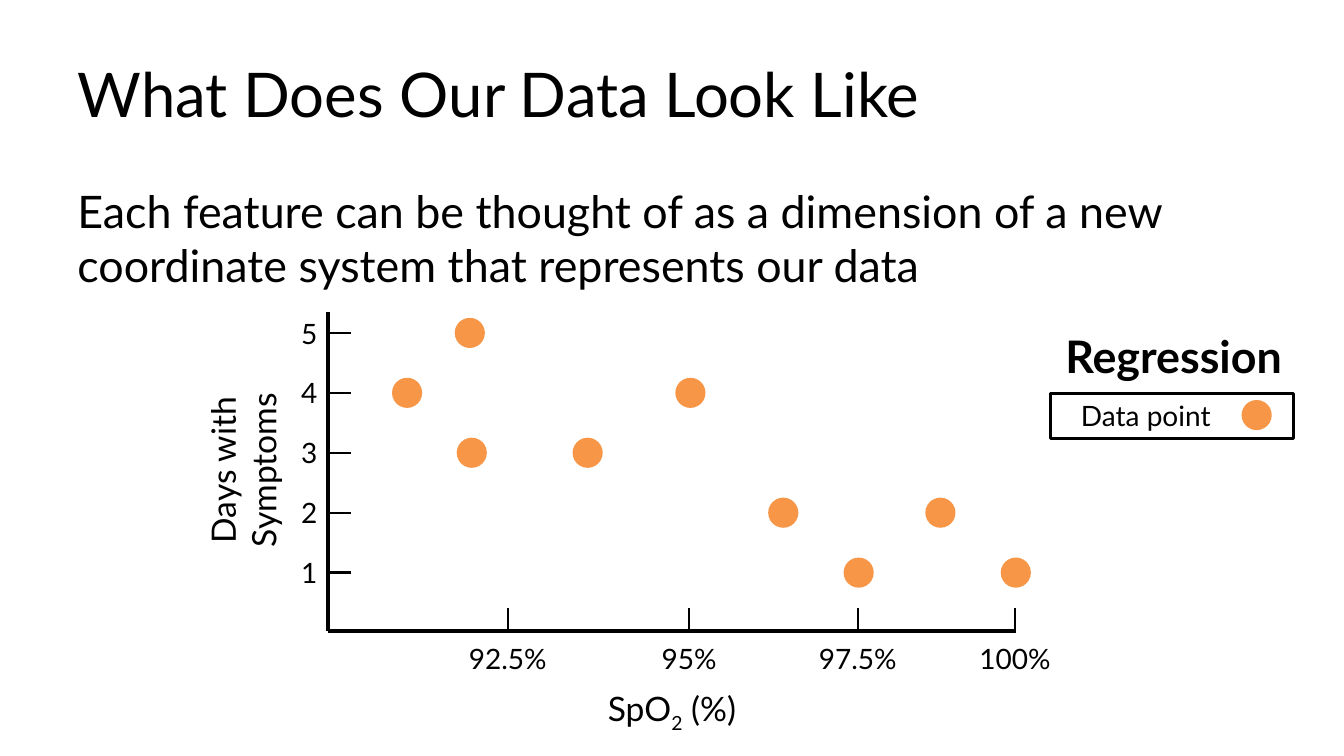
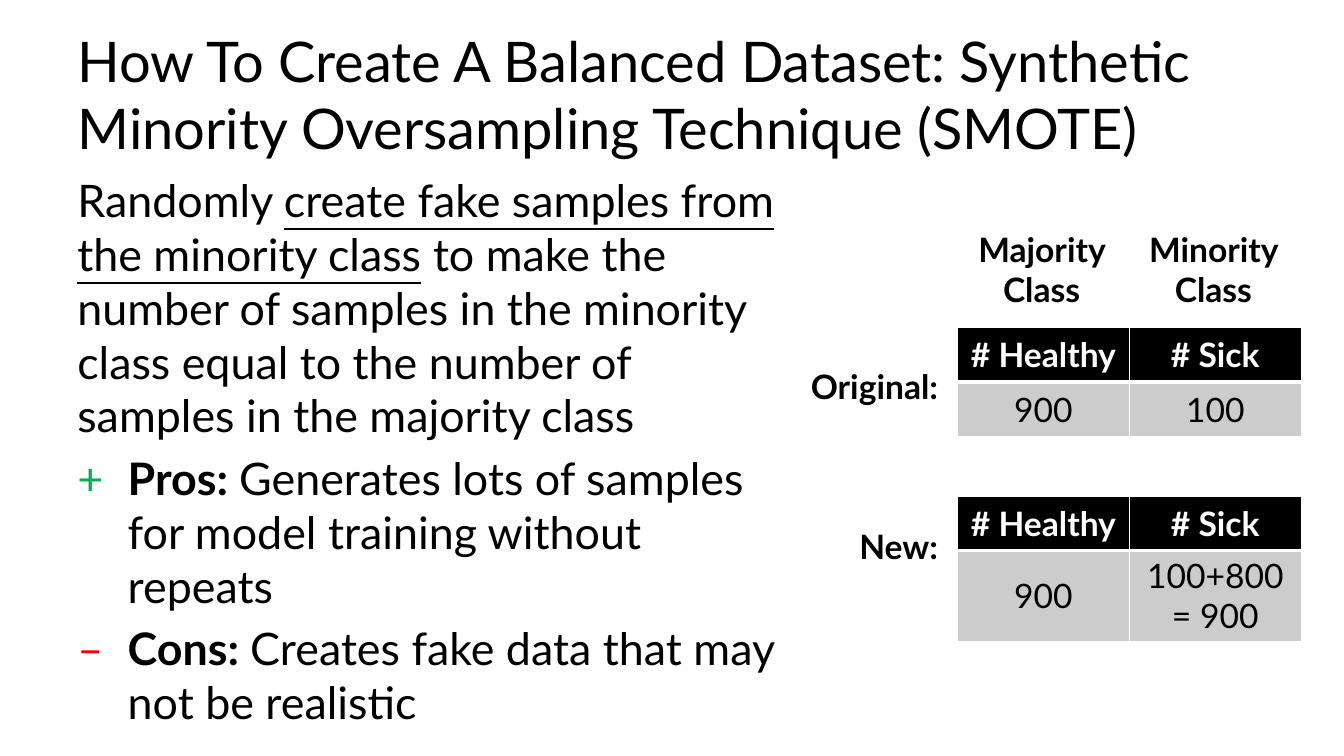
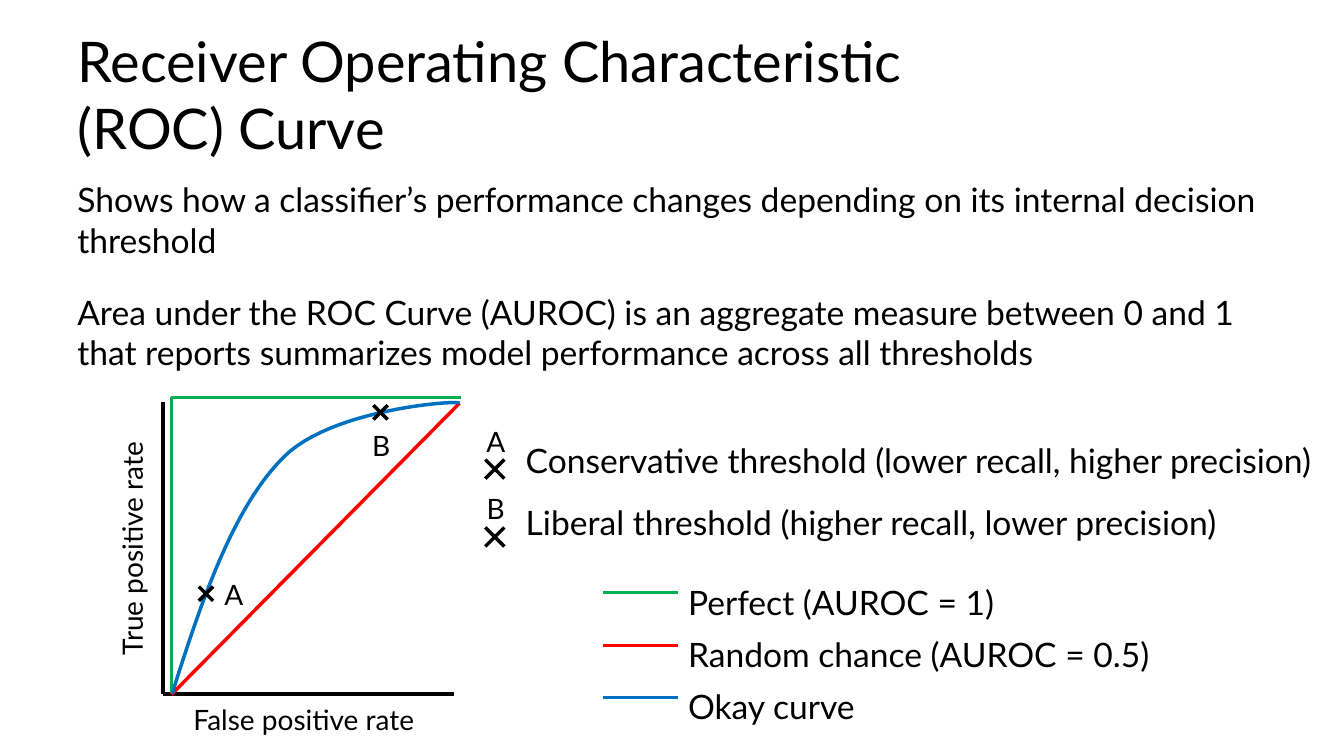
from copy import deepcopy
from dataclasses import dataclass

from lxml import etree
from pptx import Presentation
from pptx.dml.color import RGBColor
from pptx.enum.shapes import MSO_CONNECTOR, MSO_SHAPE
from pptx.enum.text import MSO_ANCHOR, MSO_AUTO_SIZE, PP_ALIGN
from pptx.oxml.ns import qn
from pptx.util import Cm, Pt

LEFT, CENTER, RIGHT = PP_ALIGN.LEFT, PP_ALIGN.CENTER, PP_ALIGN.RIGHT
TOP, MIDDLE = MSO_ANCHOR.TOP, MSO_ANCHOR.MIDDLE
STRAIGHT = MSO_CONNECTOR.STRAIGHT
OVAL, RECTANGLE = MSO_SHAPE.OVAL, MSO_SHAPE.RECTANGLE
TITLE_ONLY = 5


@dataclass(frozen=True)
class Theme:
    font: str = "Lato"
    black: str = "000000"
    white: str = "FFFFFF"
    grey: str = "CCCCCC"
    orange: str = "F79646"
    green: str = "00B050"
    red: str = "FF0000"
    blue: str = "0070C0"
    title: float = 44
    long_title: float = 40
    body: float = 32
    text: float = 24
    small: float = 20
    axis: float = 3
    curve: float = 2.5
    key: float = 2
    tick: float = 1.75


THEME = Theme()


def rgb(value):
    return RGBColor.from_string(value)


class Deck:
    """Holds the style and the current slide."""

    def __init__(self, theme):
        self.theme = theme
        self.show = Presentation()
        self.show.slide_width, self.show.slide_height = Cm(33.87), Cm(19.05)
        self.page = None

    def add_page(self, title, size):
        layout = self.show.slide_layouts[TITLE_ONLY]
        self.page = self.show.slides.add_slide(layout)
        box = self.page.shapes.title
        box.left, box.top, box.width, box.height = Cm(1.7), Cm(0.76), Cm(30.48), Cm(3.18)
        frame = box.text_frame
        frame.text = title
        frame.auto_size = MSO_AUTO_SIZE.NONE
        frame.vertical_anchor = MIDDLE
        para = frame.paragraphs[0]
        self.style_para(para, size)
        for line_break in para._p.findall(qn("a:br")):
            line_break.insert(0, deepcopy(para.runs[0]._r.rPr))

    def style_para(self, para, size, align=LEFT, bold=None, color=None):
        para.alignment = align
        for span in para.runs:
            span.font.name = self.theme.font
            span.font.size = Pt(size)
            span.font.color.rgb = rgb(color or self.theme.black)
            if bold is not None:
                span.font.bold = bold

    def text(self, left, top, width, height, text, size=THEME.text, align=LEFT,
             bold=None, anchor=TOP, rotation=0, inset=True):
        box = self.page.shapes.add_textbox(Cm(left), Cm(top), Cm(width), Cm(height))
        box.rotation = rotation
        frame = box.text_frame
        frame.word_wrap = True
        frame.vertical_anchor = anchor
        if not inset:
            frame.margin_left = frame.margin_right = 0
            frame.margin_top = frame.margin_bottom = 0
        frame.text = text
        for para in frame.paragraphs:
            self.style_para(para, size, align, bold)
        return frame

    def body(self, width, height, text, size):
        frame = self.text(1.7, 4.44, width, height, text, size, anchor=MIDDLE)
        for para in frame.paragraphs:
            para.space_before = Pt(0.2 * size)
        return frame

    def split(self, para, *parts):
        """Divide the only run of a paragraph into consecutive parts."""
        first = para.runs[0]
        first.text = parts[0]
        for part in parts[1:]:
            span = para.add_run()
            span.text = part
            span._r.insert(0, deepcopy(first._r.rPr))
        return para.runs

    def bullet(self, para, symbol, color):
        props = para._p.get_or_add_pPr()
        props.set("marL", str(Cm(1.27)))
        props.set("indent", str(-Cm(1.27)))
        tint = etree.SubElement(props, qn("a:buClr"))
        etree.SubElement(tint, qn("a:srgbClr")).set("val", color)
        etree.SubElement(props, qn("a:buFont")).set("typeface", self.theme.font)
        etree.SubElement(props, qn("a:buChar")).set("char", symbol)

    def line(self, x1, y1, x2, y2, width, color=THEME.black):
        line = self.page.shapes.add_connector(STRAIGHT, Cm(x1), Cm(y1), Cm(x2), Cm(y2))
        line.line.color.rgb = rgb(color)
        line.line.width = Pt(width)
        etree.SubElement(line._element.spPr, qn("a:effectLst"))

    def dot(self, x, y, size=0.76):
        dot = self.page.shapes.add_shape(
            OVAL, Cm(x - size / 2), Cm(y - size / 2), Cm(size), Cm(size))
        dot.shadow.inherit = False
        dot.fill.solid()
        dot.fill.fore_color.rgb = rgb(self.theme.orange)
        dot.line.fill.background()

    def frame(self, left, top, width, height):
        frame = self.page.shapes.add_shape(
            RECTANGLE, Cm(left), Cm(top), Cm(width), Cm(height))
        frame.shadow.inherit = False
        frame.fill.background()
        frame.line.color.rgb = rgb(self.theme.black)
        frame.line.width = Pt(self.theme.key)

    def cross(self, x, y, size):
        half = size / 2
        for rise in (half, -half):
            self.line(x - half, y + rise, x + half, y - rise, self.theme.curve)

    def curve(self, points, color):
        (start, *rest) = [(Cm(x), Cm(y)) for x, y in points]
        builder = self.page.shapes.build_freeform(*start)
        builder.add_line_segments(rest, close=False)
        curve = builder.convert_to_shape()
        curve.shadow.inherit = False
        curve.fill.background()
        curve.line.color.rgb = rgb(color)
        curve.line.width = Pt(self.theme.curve)

    def border(self, cell, **widths):
        props = cell._tc.get_or_add_tcPr()
        for side in "LRTB":
            edge = etree.SubElement(props, qn("a:ln" + side))
            edge.set("w", str(Pt(widths.get(side, 1))))
            fill = etree.SubElement(edge, qn("a:solidFill"))
            etree.SubElement(fill, qn("a:srgbClr")).set("val", self.theme.white)

    def table(self, left, top, column_width, row_heights, rows):
        columns = len(rows[0])
        table = self.page.shapes.add_table(
            len(rows), columns, Cm(left), Cm(top),
            Cm(column_width * columns), Cm(sum(row_heights))).table
        for column in table.columns:
            column.width = Cm(column_width)
        for r, (values, height) in enumerate(zip(rows, row_heights)):
            header = r == 0
            table.rows[r].height = Cm(height)
            for c, value in enumerate(values):
                cell = table.cell(r, c)
                cell.text = value
                cell.vertical_anchor = MIDDLE
                self.border(cell, **({"B": 3} if header else {"T": 3}))
                cell.fill.solid()
                cell.fill.fore_color.rgb = rgb(self.theme.black if header else self.theme.grey)
                self.style_para(cell.text_frame.paragraphs[0], self.theme.text, CENTER,
                                header, self.theme.white if header else self.theme.black)


def bezier(p0, p1, p2, p3, steps=24):
    """Points of a cubic curve, without its first one."""
    for step in range(1, steps + 1):
        t = step / steps
        u = 1 - t
        yield tuple(u**3 * a + 3 * u * u * t * b + 3 * u * t * t * c + t**3 * d
                    for a, b, c, d in zip(p0, p1, p2, p3))


def data_page(deck):
    theme = deck.theme
    deck.add_page("What Does Our Data Look Like", theme.title)
    deck.body(30.48, 3.1, "Each feature can be thought of as a dimension of a new "
              "coordinate system that represents our data", theme.body)

    # Axes
    axis_x, axis_y, tick = 8.26, 15.9, 0.58
    deck.line(axis_x, axis_y, 25.6, axis_y, theme.axis)
    deck.line(axis_x, 7.85, axis_x, axis_y, theme.axis)
    label = deck.text(axis_x, 17.22, 17.35, 1.27, "SpO2 (%)", align=CENTER)
    spans = deck.split(label.paragraphs[0], "SpO", "2", " (%)")
    spans[1]._r.rPr.set("baseline", "-25000")
    deck.text(2.13, 10.69, 8, 2.31, "Days with Symptoms", align=CENTER, rotation=270)

    # Ticks
    for x, name in ((12.8, "92.5%"), (17.37, "95%"), (21.62, "97.5%"), (25.58, "100%")):
        deck.line(x, axis_y - tick, x, axis_y, theme.tick)
        deck.text(x - 1.89, 16.03, 3.78, 1.12, name, theme.small, CENTER)
    day_y = {day: 14.43 - 1.51 * (day - 1) for day in range(1, 6)}
    for day, y in day_y.items():
        deck.line(axis_x, y, axis_x + tick, y, theme.tick)
        deck.text(6.57, y - 0.55, 1.68, 1.12, str(day), theme.small, RIGHT)

    # Data points
    points = ((10.26, 4), (11.84, 5), (11.89, 3), (14.81, 3), (17.4, 4),
              (19.74, 2), (21.64, 1), (23.7, 2), (25.6, 1))
    for x, day in points:
        deck.dot(x, day_y[day])

    # Legend
    deck.text(26.8, 8.28, 5.56, 1.37, "Regression", theme.body, CENTER, True, inset=False)
    deck.frame(26.47, 9.91, 6.12, 1.14)
    deck.text(26.47, 9.91, 4.29, 1.12, "Data point", theme.small, RIGHT)
    deck.dot(31.67, 10.46)


def smote_page(deck):
    theme = deck.theme
    deck.add_page("How To Create A Balanced Dataset: Synthetic Minority "
                  "Oversampling Technique (SMOTE)", theme.long_title)

    # Explanation with pros and cons
    parts = (
        ("Randomly ", "create fake samples from the minority class",
         " to make the number of samples in the minority class equal to the "
         "number of samples in the majority class"),
        ("Pros: ", "Generates lots of samples for model training without repeats"),
        ("Cons: ", "Creates fake data that may not be realistic"),
    )
    body = deck.body(18.34, 13.84, "\n".join("".join(part) for part in parts), theme.body)
    intro, *points = [deck.split(para, *part) for para, part in zip(body.paragraphs, parts)]
    intro[1].font.underline = True
    for spans in points:
        spans[0].font.bold = True
    deck.bullet(body.paragraphs[1], "+", theme.green)
    deck.bullet(body.paragraphs[2], "–", theme.red)

    # Tables with their labels
    table_left, column = 24.13, 4.33
    for c, name in enumerate(("Majority Class", "Minority Class")):
        deck.text(table_left + 0.2 + c * column, 5.64, 3.84, 2.31, name,
                  align=CENTER, bold=True)
    for name, label_top, top, height, sick in (
            ("Original:", 9.09, 8.26, 1.37, "100"),
            ("New:", 13.13, 12.5, 2.29, "100+800 = 900")):
        deck.text(19.8, label_top, 4.09, 1.27, name, align=RIGHT, bold=True, anchor=MIDDLE)
        deck.table(table_left, top, column, (1.37, height),
                   (("# Healthy", "# Sick"), ("900", sick)))


def roc_page(deck):
    theme = deck.theme
    deck.add_page("Receiver Operating Characteristic \v(ROC) Curve", theme.long_title)
    body = deck.body(
        30.48, 5.03,
        "Shows how a classifier’s performance changes depending on its internal "
        "decision threshold\n"
        "Area under the ROC Curve (AUROC) is an aggregate measure between 0 and 1 "
        "that reports summarizes model performance across all thresholds", theme.text)
    body.paragraphs[0].space_after = Pt(18)

    # Axes
    axis_x, axis_y = 4.11, 17.48
    deck.line(axis_x, axis_y, 11.43, axis_y, theme.axis)
    deck.line(axis_x, 10.13, axis_x, axis_y, theme.axis)
    deck.text(3.48, 17.58, 8.36, 1.12, "False positive rate", theme.small, CENTER)
    deck.text(-0.33, 13.26, 7.32, 1.12, "True positive rate", theme.small, CENTER, rotation=270)

    # Curves
    start, bend, end = (4.34, 17.48), (7.14, 11.53), (11.58, 10.16)
    deck.line(4.32, 17.5, *end, theme.curve, theme.red)
    deck.line(4.32, 17.45, 4.32, 10.01, theme.curve, theme.green)
    deck.line(4.32, 10.01, 11.63, 10.01, theme.curve, theme.green)
    deck.curve([start,
                *bezier(start, (5.13, 14.96), (5.92, 12.75), bend),
                *bezier(bend, (8.33, 10.31), (11.51, 10.08), end)], theme.blue)

    # Thresholds on the curve and in the key
    for name, x, y, size, left, top in (
            ("A", 5.19, 14.96, 0.36, 5.31, 14.43),
            ("B", 9.59, 10.39, 0.36, 9.02, 10.67),
            ("A", 12.47, 11.82, 0.48, 11.91, 10.57),
            ("B", 12.47, 13.53, 0.48, 11.91, 12.27)):
        deck.cross(x, y, size)
        deck.text(left, top, 1.17, 1.12, name, theme.small, CENTER)
    for top, meaning in (
            (10.95, "Conservative threshold (lower recall, higher precision)"),
            (12.52, "Liberal threshold (higher recall, lower precision)")):
        deck.text(13, top, 20.87, 1.27, meaning)

    # Curve key
    for row, (name, color) in enumerate((
            ("Perfect (AUROC = 1)", theme.green),
            ("Random chance (AUROC = 0.5)", theme.red),
            ("Okay curve", theme.blue))):
        y = 14.94 + 1.32 * row
        deck.line(15.19, y, 17.09, y, theme.key, color)
        deck.text(17.09, y - 0.41, 13.89, 1.27, name)


def main():
    deck = Deck(THEME)
    for build in (data_page, smote_page, roc_page):
        build(deck)
    deck.show.save("out.pptx")


if __name__ == "__main__":
    main()
